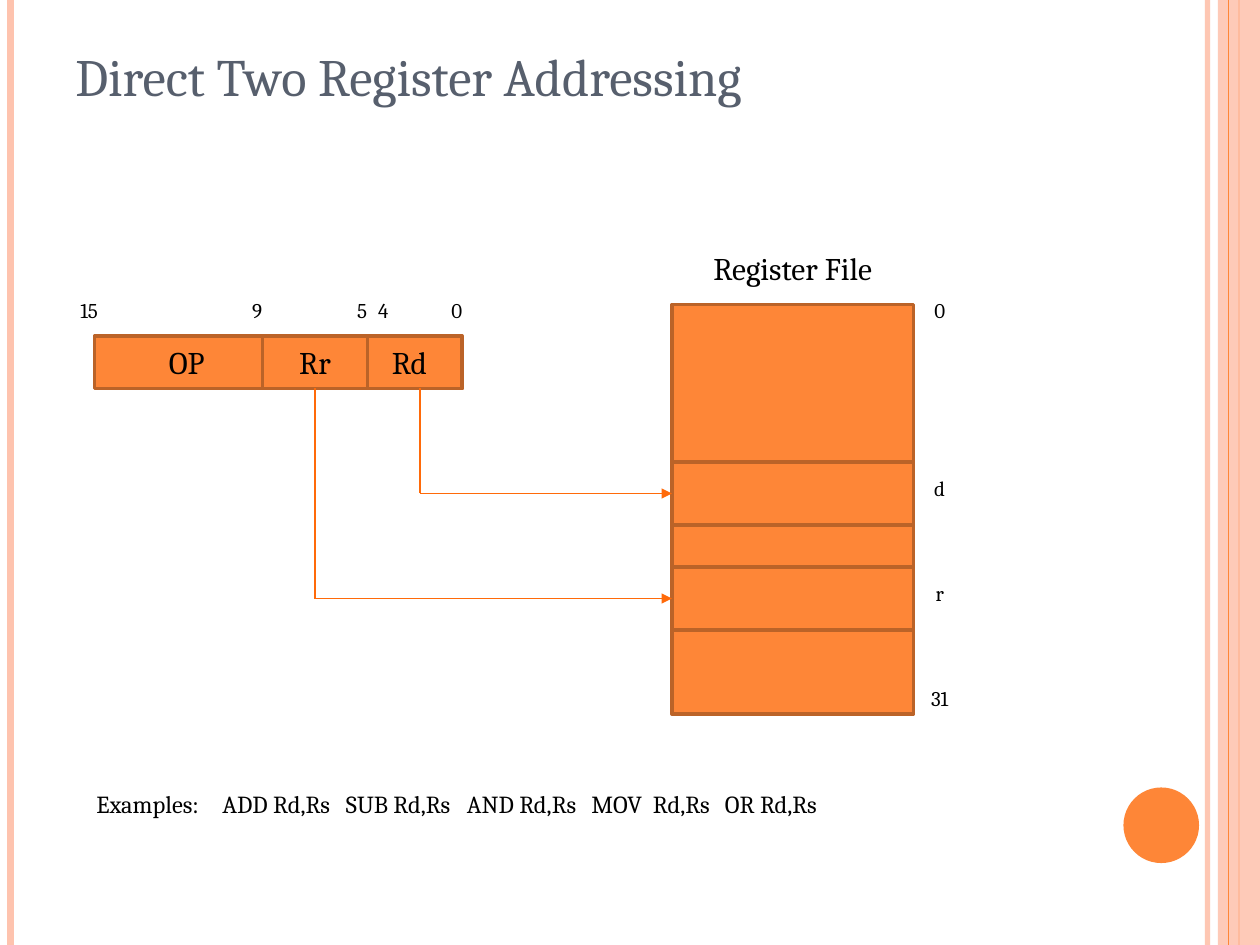
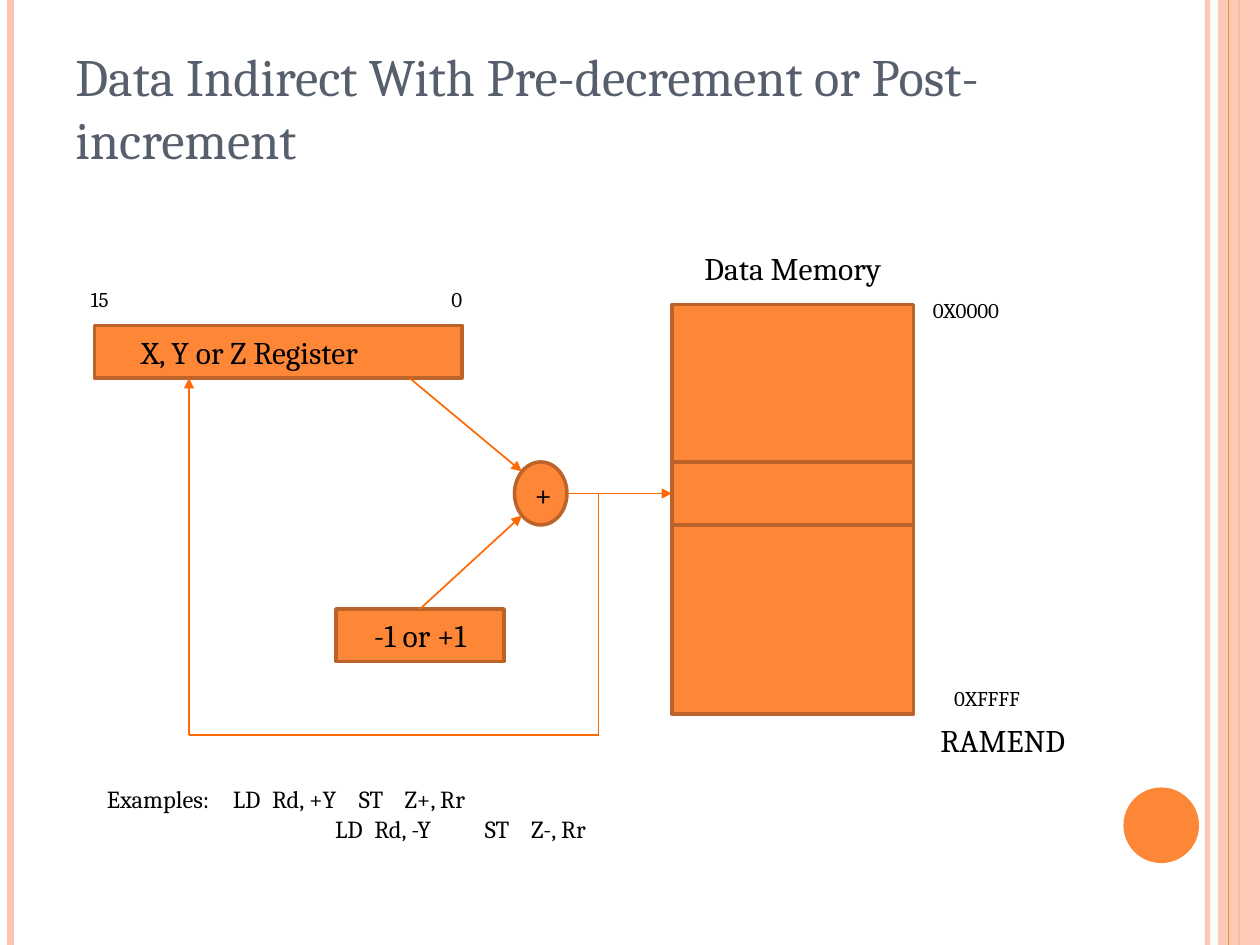
from lxml import etree
from pptx import Presentation
from pptx.dml.color import RGBColor
from pptx.enum import shapes, text
from pptx.oxml.ns import qn
from pptx.util import Cm, Pt

# Places are counted in steps of a twelfth of an inch: left, top, width, height
STEP = 2.54 / 12
WIDE, HIGH = 120, 90
FONT = "Cambria"
INK, SLATE, PEACH = "000000", "575F6D", "FEC3AE"
ORANGE, RUST, FLAME = "FE8637", "BB6328", "FF6A09"
BIG, MID, TINY = 18, 14, 12
RECT, OVAL = shapes.MSO_SHAPE.RECTANGLE, shapes.MSO_SHAPE.OVAL

# Vertical rules of the frame: x, colour, width, opacity
RULES = [(115, PEACH, 3, 93), (1, PEACH, 4.5, 100), (118, ORANGE, 1.5, 100)]
THIN = (117, ORANGE, 0.75, 100)
TITLE = (6, 3.6, 98, 15)
STORE = (64, 29, 23, 39)

# Boxes: place, words, left indent in cm (None = centred), shape
# Labels: place, words, size; lines: from, to, arrow
# Notes: place, then rows of tab stops in cm and words
SLIDES = [
    dict(
        title="Direct Two Register Addressing",
        boxes=[
            (STORE, "", None, RECT),
            ((64, 44, 23, 6), "", None, RECT),
            ((64, 54, 23, 6), "", None, RECT),
            ((9, 32, 35, 5), "OP", 1.25, RECT),
            ((34, 32, 10, 5), "Rd", None, RECT),
            ((25, 32, 10, 5), "Rr", None, RECT),
        ],
        labels=[
            ((64, 23, 23, 5), "Register File", BIG),
            ((6, 27, 5, 5), "15", TINY),
            ((22, 27, 5, 5), "9", TINY),
            ((32, 27, 5, 5), "5", TINY),
            ((34, 27, 5, 5), "4", TINY),
            ((41, 27, 5, 5), "0", TINY),
            ((87, 27, 5, 5), "0", TINY),
            ((87, 44, 5, 5), "d", TINY),
            ((87, 54, 5, 5), "r", TINY),
            ((87, 64, 5, 5), "31", TINY),
        ],
        lines=[
            ((40, 37), (40, 47), False),
            ((40, 47), (64, 47), True),
            ((30, 37), (30, 57), False),
            ((30, 57), (64, 57), True),
        ],
        notes=((8, 70, 93, 13), [
            ([2.54, 5.03, 7.47, 9.98, 11.22, 12.67],
             "Examples:\tADD Rd,Rs\tSUB Rd,Rs\tAND Rd,Rs\tMOV\tRd,Rs\tOR Rd,Rs"),
        ]),
    ),
    dict(
        title="Data Indirect With Pre-decrement or Post-increment",
        boxes=[
            (STORE, "", None, RECT),
            ((64, 44, 23, 6), "", None, RECT),
            ((32, 58, 16, 5), "-1 or +1", None, RECT),
            ((9, 31, 35, 5), "X, Y or Z Register", 0.69, RECT),
            ((49, 44, 5, 6), "+", None, OVAL),
        ],
        labels=[
            ((64, 23, 23, 5), "Data Memory", BIG),
            ((7, 26, 5, 5), "15", TINY),
            ((41, 26, 5, 5), "0", TINY),
            ((87, 27, 10, 5), "0X0000", TINY),
            ((87, 64, 14, 5), "0XFFFF", TINY),
            ((84, 68, 23, 5), "RAMEND", BIG),
        ],
        lines=[
            ((54, 47), (64, 47), True),
            ((40, 58), (49.7, 49.1), True),
            ((39, 36), (49.7, 44.9), True),
            ((57, 47), (57, 70), False),
            ((57, 70), (18, 70), False),
            ((18, 70), (18, 36), True),
        ],
        notes=((9, 71, 86, 13), [
            ([2.54, 3.33, 5.08, 6], "Examples:\tLD\tRd, +Y\tST\tZ+, Rr"),
            ([4.6, 5.39, 7.62, 8.55], "\tLD\tRd, -Y\tST\tZ-, Rr"),
        ]),
    ),
]


def hue(code):
    return RGBColor.from_string(code)


def span(place):
    return [Cm(n * STEP) for n in place]


def fade(shape, alpha):
    if alpha < 100:
        for node in shape._element.spPr.iter(qn("a:srgbClr")):
            etree.SubElement(node, qn("a:alpha"), val=str(alpha * 1000))


def write(para, words, size, color=INK):
    run = para.add_run()
    run.text = words
    run.font.name, run.font.size = FONT, Pt(size)
    run.font.color.rgb = hue(color)


def block(slide, place, kind=RECT, fill=ORANGE, edge=None):
    shape = slide.shapes.add_shape(kind, *span(place))
    shape.shadow.inherit = False
    shape.fill.solid()
    shape.fill.fore_color.rgb = hue(fill)
    if edge:
        shape.line.color.rgb, shape.line.width = hue(edge), Pt(2)
    else:
        shape.line.fill.background()
    return shape


def area(slide, place, anchor=text.MSO_ANCHOR.MIDDLE):
    frame = slide.shapes.add_textbox(*span(place)).text_frame
    frame.word_wrap, frame.vertical_anchor = True, anchor
    return frame


def line(slide, start, end, color=FLAME, width=1, arrow=False):
    link = slide.shapes.add_connector(
        shapes.MSO_CONNECTOR.STRAIGHT, *span(start + end))
    link.line.color.rgb, link.line.width = hue(color), Pt(width)
    if arrow:
        etree.SubElement(link.line._get_or_add_ln(), qn("a:tailEnd"), type="triangle")
    etree.SubElement(link._element.spPr, qn("a:effectLst"))
    return link


def rule(slide, x, color, width, alpha):
    fade(line(slide, (x, 0), (x, HIGH), color, width), alpha)


def frame(slide, title):
    for item in RULES:
        rule(slide, *item)
    fade(block(slide, (116, 0, 4, HIGH), fill=PEACH), 87)
    rule(slide, *THIN)
    block(slide, (107, 75, 7.2, 7.2), OVAL)
    head = area(slide, TITLE, text.MSO_ANCHOR.TOP)
    write(head.paragraphs[0], title, 30, SLATE)


def box(slide, place, words, indent, kind):
    body = block(slide, place, kind, edge=RUST).text_frame
    if not words:
        return
    body.vertical_anchor = text.MSO_ANCHOR.MIDDLE
    para = body.paragraphs[0]
    if indent is None:
        para.alignment = text.PP_ALIGN.CENTER
    else:
        para.alignment = text.PP_ALIGN.LEFT
        props = para._p.get_or_add_pPr()
        props.set("marL", str(Cm(indent)))
        props.set("indent", "0")
    write(para, words, BIG)


def label(slide, place, words, size):
    para = area(slide, place).paragraphs[0]
    para.alignment = text.PP_ALIGN.CENTER
    write(para, words, size)


def notes(slide, place, rows):
    body = area(slide, place)
    for i, (stops, words) in enumerate(rows):
        para = body.add_paragraph() if i else body.paragraphs[0]
        tabs = etree.SubElement(para._p.get_or_add_pPr(), qn("a:tabLst"))
        for stop in stops:
            etree.SubElement(tabs, qn("a:tab"), pos=str(Cm(stop)), algn="l")
        write(para, words, MID)


def main():
    deck = Presentation()
    deck.slide_width, deck.slide_height = span((WIDE, HIGH))
    for data in SLIDES:
        slide = deck.slides.add_slide(deck.slide_layouts[6])
        frame(slide, data["title"])
        for item in data["boxes"]:
            box(slide, *item)
        for start, end, arrow in data["lines"]:
            line(slide, start, end, arrow=arrow)
        for item in data["labels"]:
            label(slide, *item)
        notes(slide, *data["notes"])
    deck.save("out.pptx")


if __name__ == "__main__":
    main()
